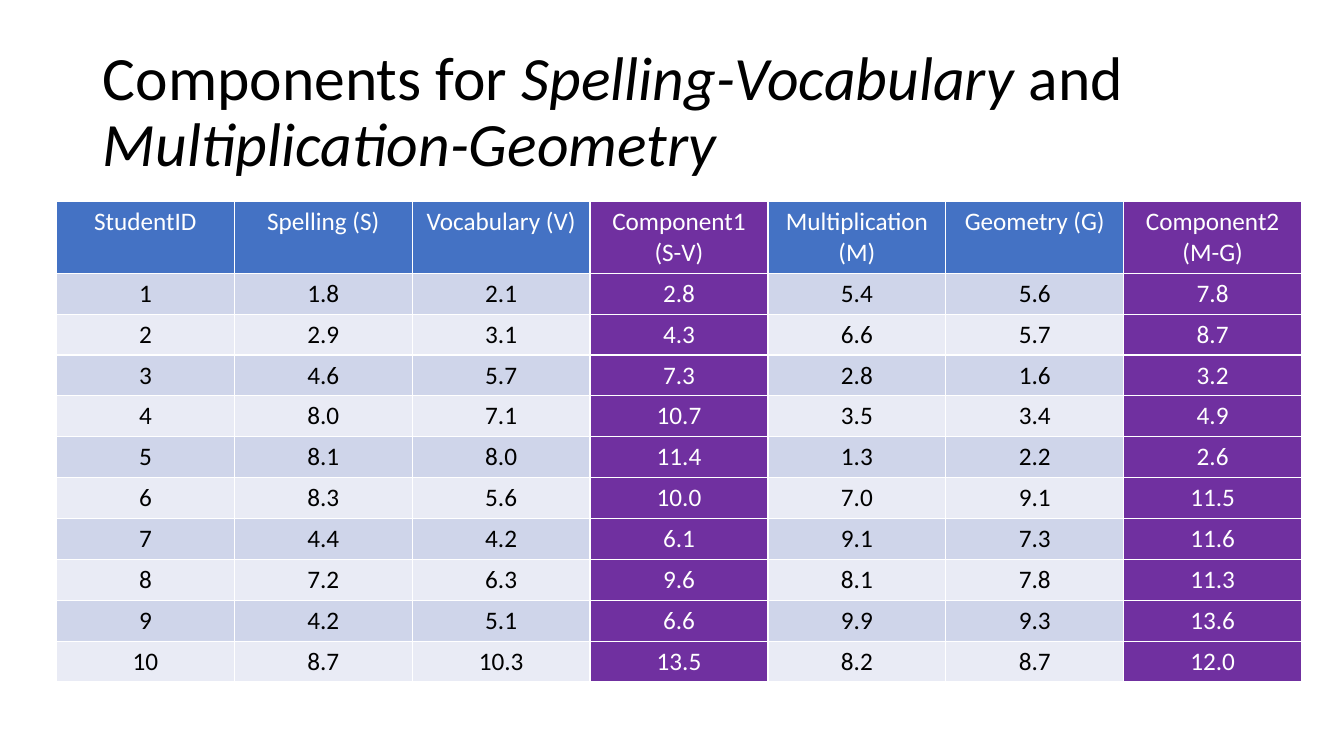
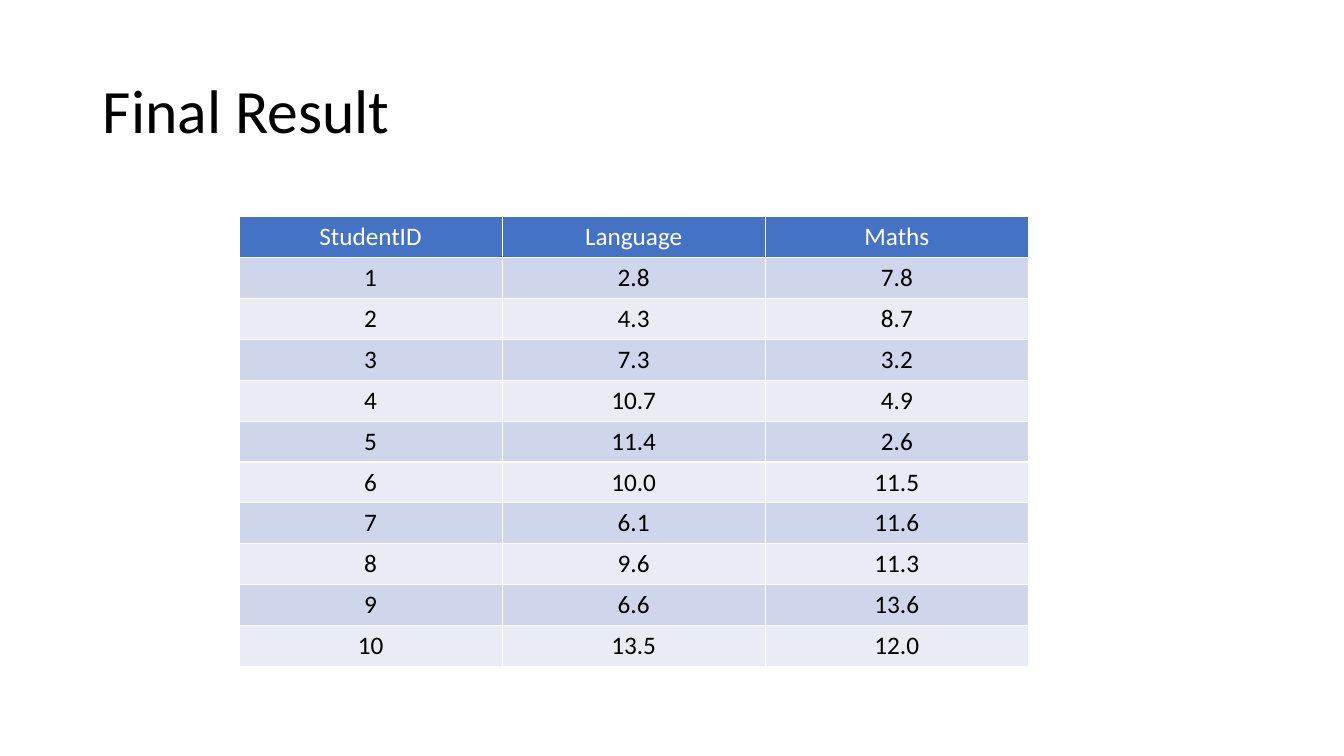
from dataclasses import dataclass
from pptx import Presentation
from pptx.dml.color import RGBColor
from pptx.enum.text import MSO_ANCHOR, MSO_AUTO_SIZE, PP_ALIGN
from pptx.util import Inches, Pt


@dataclass(frozen=True)
class Theme:
    font: str = "Calibri"
    title: Pt = Pt(44)
    body: Pt = Pt(18)
    ink: RGBColor = RGBColor(0, 0, 0)
    white: RGBColor = RGBColor(255, 255, 255)
    head: RGBColor = RGBColor.from_string("4472C4")
    mark: RGBColor = RGBColor.from_string("7030A0")
    bands: tuple = (RGBColor.from_string("CFD5EA"), RGBColor.from_string("E9EBF5"))


theme = Theme()


def style(para, size, color, align):
    para.alignment = align
    font = para.font
    font.name, font.size, font.bold = theme.font, size, False
    font.color.rgb = color


# Scores by student, with the two components
scores = [
    ["StudentID", "Spelling (S)", "Vocabulary (V)", "Component1 (S-V)",
     "Multiplication (M)", "Geometry (G)", "Component2 (M-G)"],
    ["1", "1.8", "2.1", "2.8", "5.4", "5.6", "7.8"],
    ["2", "2.9", "3.1", "4.3", "6.6", "5.7", "8.7"],
    ["3", "4.6", "5.7", "7.3", "2.8", "1.6", "3.2"],
    ["4", "8.0", "7.1", "10.7", "3.5", "3.4", "4.9"],
    ["5", "8.1", "8.0", "11.4", "1.3", "2.2", "2.6"],
    ["6", "8.3", "5.6", "10.0", "7.0", "9.1", "11.5"],
    ["7", "4.4", "4.2", "6.1", "9.1", "7.3", "11.6"],
    ["8", "7.2", "6.3", "9.6", "8.1", "7.8", "11.3"],
    ["9", "4.2", "5.1", "6.6", "9.9", "9.3", "13.6"],
    ["10", "8.7", "10.3", "13.5", "8.2", "8.7", "12.0"],
]
parts = (3, 6)

# The result keeps the student and the two components
result = [["StudentID", "Language", "Maths"]]
result += [[row[0]] + [row[col] for col in parts] for row in scores[1:]]

# Title runs (text, italic), rows, marked columns, table left, top, width
pages = [
    ([("Components for ", False), ("Spelling-Vocabulary", True),
      (" and ", False), ("Multiplication-Geometry", True)],
     scores, parts, 0.56, 2, 12.35),
    ([("Final Result", False)], result, (), 2.37, 2.15, 7.83),
]

deck = Presentation()
deck.slide_width, deck.slide_height = Inches(13.33), Inches(7.5)

for runs, rows, marked, left, top, width in pages:
    slide = deck.slides.add_slide(deck.slide_layouts[5])

    # Title
    title = slide.shapes.title
    title.left, title.top = Inches(0.92), Inches(0.4)
    title.width, title.height = Inches(11.5), Inches(1.45)
    frame = title.text_frame
    frame.auto_size = MSO_AUTO_SIZE.NONE
    frame.vertical_anchor = MSO_ANCHOR.MIDDLE
    para = frame.paragraphs[0]
    para.line_spacing = 0.9
    style(para, theme.title, theme.ink, PP_ALIGN.LEFT)
    for text, slant in runs:
        run = para.add_run()
        run.text = text
        run.font.italic = slant

    # Table: equal rows and columns, banded body, marked columns
    table = slide.shapes.add_table(
        len(rows), len(rows[0]), Inches(left), Inches(top),
        Inches(width), Inches(4.46)).table
    for r, row in enumerate(rows):
        for c, text in enumerate(row):
            cell = table.cell(r, c)
            cell.text = text
            if c in marked:
                fill, ink = theme.mark, theme.white
            elif r == 0:
                fill, ink = theme.head, theme.white
            else:
                fill, ink = theme.bands[(r - 1) % 2], theme.ink
            cell.fill.solid()
            cell.fill.fore_color.rgb = fill
            style(cell.text_frame.paragraphs[0], theme.body, ink, PP_ALIGN.CENTER)

deck.save("out.pptx")
